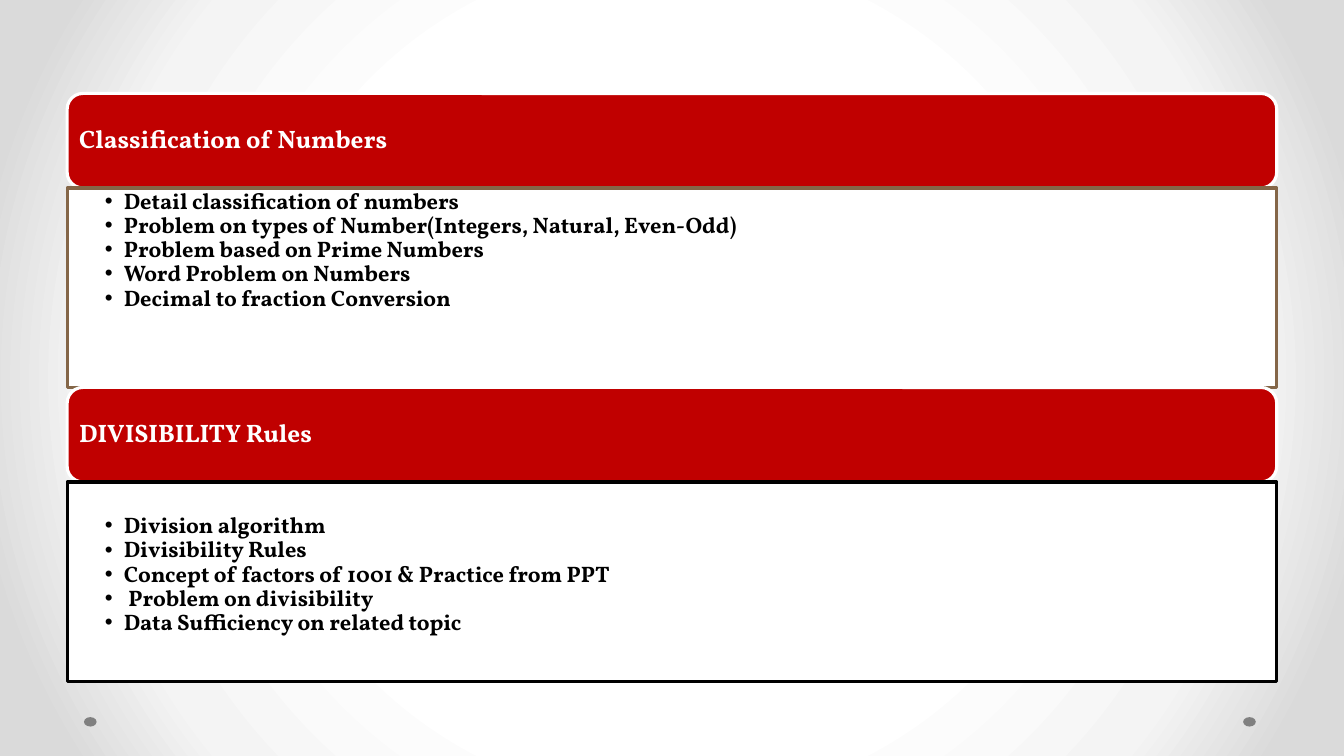
"""Build the slide listing the topics on classification and divisibility."""
from dataclasses import dataclass

from lxml.etree import SubElement
from pptx import Presentation
from pptx.dml.color import RGBColor
from pptx.enum.shapes import MSO_SHAPE
from pptx.enum.text import MSO_ANCHOR, PP_ALIGN
from pptx.oxml import parse_xml
from pptx.oxml.ns import nsdecls, qn
from pptx.shapes.autoshape import Shape
from pptx.slide import Slide
from pptx.text.text import _Paragraph as Paragraph
from pptx.util import Emu, Pt

FONT = "Vollkorn"
RED, WHITE, BLACK, BROWN, GRAY = "C00000", "FFFFFF", "000000", "846648", "808080"
BACKGROUND_STOPS = ((50, "FFFFFF"), (76, "F4F4F4"), (92, "DADADA"))
LEFT, TOP, WIDTH = 64, 89, 1152
HEADER_HEIGHT, BODY_HEIGHT = 90, 190
BULLET_INDENT = 18
DOT_LEFTS = (80, 1184)


@dataclass(frozen=True)
class Section:
    title: str
    topics: tuple[str, ...]
    border: str
    top_inset: int


SECTIONS = (
    Section(
        "Classification of Numbers",
        (
            "Detail classification of numbers",
            "Problem on types of Number(Integers, Natural, Even-Odd)",
            "Problem based on Prime Numbers",
            "Word Problem on Numbers",
            "Decimal to fraction Conversion",
        ),
        BROWN,
        2,
    ),
    Section(
        "DIVISIBILITY Rules",
        (
            "Division algorithm",
            "Divisibility Rules",
            "Concept of factors of 1001 & Practice from PPT",
            " Problem on divisibility",
            "Data Sufficiency on related topic",
        ),
        BLACK,
        31,
    ),
)


def px(length: int) -> Emu:
    """Turn pixels into EMU."""
    return Emu(length * 9525)


def color(value: str) -> RGBColor:
    """Turn a hex string into a colour."""
    return RGBColor.from_string(value)


def paint_background(page: Slide) -> None:
    """Give the page a radial gradient."""
    page.background.fill.solid()
    solid = page.element.find(".//" + qn("a:solidFill"))
    stops = "".join(
        f'<a:gs pos="{position * 1000}"><a:srgbClr val="{value}"/></a:gs>'
        for position, value in BACKGROUND_STOPS
    )
    gradient = parse_xml(
        f'<a:gradFill {nsdecls("a")} rotWithShape="1"><a:gsLst>{stops}</a:gsLst>'
        '<a:path path="circle"><a:fillToRect l="50000" t="50000" r="50000" b="50000"/>'
        "</a:path></a:gradFill>"
    )
    solid.getparent().replace(solid, gradient)


def add_box(page: Slide, kind: MSO_SHAPE, bounds: tuple[int, int, int, int],
            fill: str, border: str | None = None) -> Shape:
    """Draw a filled shape with an optional border."""
    box = page.shapes.add_shape(kind, *map(px, bounds))
    box.shadow.inherit = False
    box.fill.solid()
    box.fill.fore_color.rgb = color(fill)
    if border is None:
        box.line.fill.background()
    else:
        box.line.color.rgb = color(border)
        box.line.width = Pt(2.25)
    return box


def set_frame(box: Shape, insets: tuple[int, int, int, int], anchor: MSO_ANCHOR) -> None:
    """Set the left, top, right and bottom insets and the anchor."""
    frame = box.text_frame
    frame.word_wrap = True
    frame.vertical_anchor = anchor
    frame.margin_left, frame.margin_top, frame.margin_right, frame.margin_bottom = map(px, insets)


def write(para: Paragraph, text: str, size: int, ink: str) -> None:
    """Write one bold run in a left-aligned paragraph."""
    para.alignment = PP_ALIGN.LEFT
    para.line_spacing = 0.9
    span = para.add_run()
    span.text = text
    span.font.name = FONT
    span.font.size = Pt(size)
    span.font.bold = True
    span.font.color.rgb = color(ink)


def add_bullet(para: Paragraph) -> None:
    """Give the paragraph a hanging bullet."""
    properties = para._p.get_or_add_pPr()
    properties.set("marL", str(px(BULLET_INDENT)))
    properties.set("indent", str(px(-BULLET_INDENT)))
    SubElement(properties, qn("a:buFont"), typeface="Arial")
    SubElement(properties, qn("a:buChar"), char="•")


def add_section(page: Slide, section: Section, top: int) -> None:
    """Draw a header bar and its list of topics."""
    header = add_box(page, MSO_SHAPE.ROUNDED_RECTANGLE,
                     (LEFT, top, WIDTH, HEADER_HEIGHT), RED, WHITE)
    set_frame(header, (7, 7, 7, 7), MSO_ANCHOR.MIDDLE)
    write(header.text_frame.paragraphs[0], section.title, 18, WHITE)

    body = add_box(page, MSO_SHAPE.RECTANGLE,
                   (LEFT, top + HEADER_HEIGHT, WIDTH, BODY_HEIGHT), WHITE, section.border)
    set_frame(body, (36, section.top_inset, 12, 2), MSO_ANCHOR.TOP)
    frame = body.text_frame
    for index, topic in enumerate(section.topics):
        para = frame.add_paragraph() if index else frame.paragraphs[0]
        add_bullet(para)
        write(para, topic, 16, BLACK)


def main() -> None:
    """Build and save the deck."""
    deck = Presentation()
    deck.slide_width, deck.slide_height = px(1280), px(720)
    page = deck.slides.add_slide(deck.slide_layouts[6])
    paint_background(page)
    for left in DOT_LEFTS:
        add_box(page, MSO_SHAPE.OVAL, (left, 683, 12, 9), GRAY)
    for index, section in enumerate(SECTIONS):
        add_section(page, section, TOP + index * (HEADER_HEIGHT + BODY_HEIGHT))
    deck.save("out.pptx")


if __name__ == "__main__":
    main()
